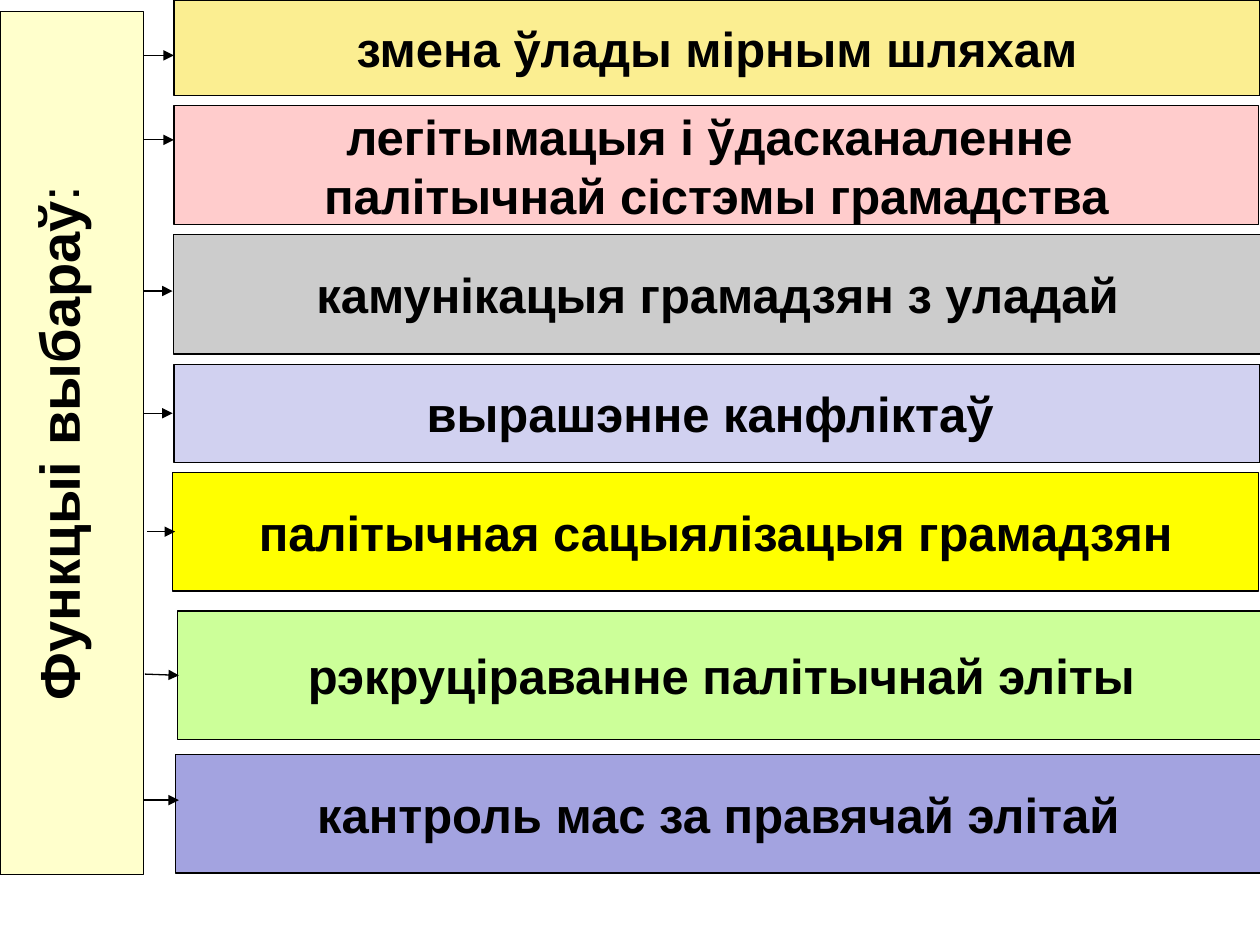
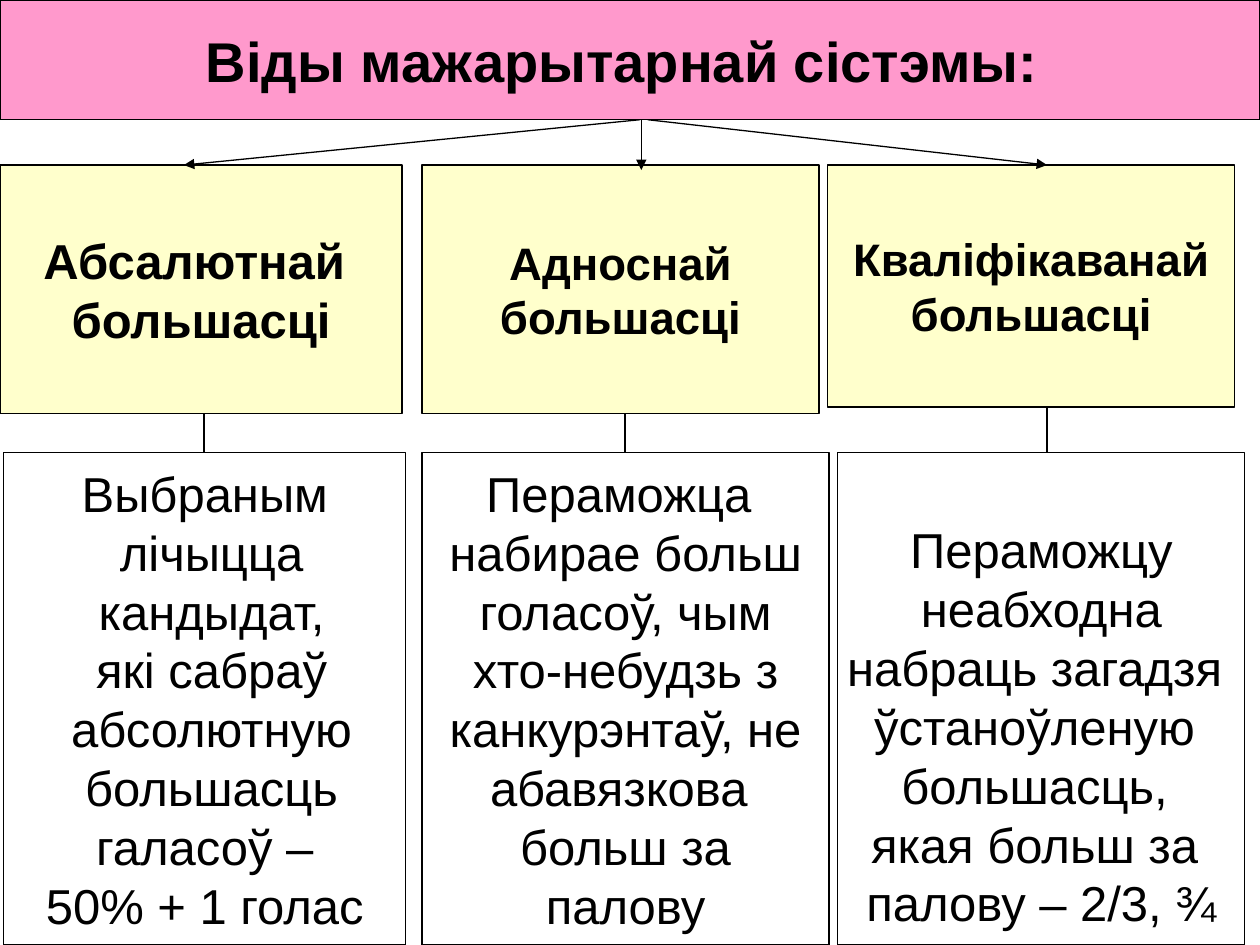
import pptx
import pptx.dml.color
import pptx.enum.shapes
import pptx.enum.text
import pptx.oxml
import pptx.util
from pptx.util import Inches

FONT = "Arial"
BLACK = "000000"
CREAM = "FFFFCC"
LINE_WIDTH = pptx.util.Pt(0.75)
color = pptx.dml.color.RGBColor.from_string


def add_box(slide, text, left, top, width, height, fill=None, size=28, bold=True,
            margin_top=0.05, light_ending=""):
    """Draw a bordered box with one centred paragraph for each line of text."""
    shape = slide.shapes.add_shape(pptx.enum.shapes.MSO_SHAPE.RECTANGLE,
                                   Inches(left), Inches(top), Inches(width), Inches(height))
    shape.shadow.inherit = False
    shape.line.color.rgb = color(BLACK)
    shape.line.width = LINE_WIDTH
    if fill:
        shape.fill.solid()
        shape.fill.fore_color.rgb = color(fill)
    else:
        shape.fill.background()

    frame = shape.text_frame
    frame.word_wrap = False
    frame.vertical_anchor = pptx.enum.text.MSO_ANCHOR.MIDDLE
    frame.margin_top = Inches(margin_top)
    for index, line in enumerate(text.split("\n")):
        paragraph = frame.add_paragraph() if index else frame.paragraphs[0]
        paragraph.alignment = pptx.enum.text.PP_ALIGN.CENTER
        for words, weight in ((line, bold), (light_ending, False)):
            if words:
                run = paragraph.add_run()
                run.text = words
                run.font.name = FONT
                run.font.size = pptx.util.Pt(size)
                run.font.bold = weight
                run.font.color.rgb = color(BLACK)
    return shape


def add_line(slide, start_x, start_y, end_x, end_y, arrow=True):
    """Draw a thin black line, with an arrowhead at its end if wanted."""
    connector = slide.shapes.add_connector(
        pptx.enum.shapes.MSO_CONNECTOR.STRAIGHT,
        Inches(start_x), Inches(start_y), Inches(end_x), Inches(end_y))
    connector.line.color.rgb = color(BLACK)
    connector.line.width = LINE_WIDTH
    if arrow:
        head = pptx.oxml.parse_xml(
            '<a:tailEnd xmlns:a="http://schemas.openxmlformats.org/drawingml/2006/main"'
            ' type="triangle"/>')
        connector.line._get_or_add_ln().append(head)
    effects = pptx.oxml.parse_xml(
        '<a:effectLst xmlns:a="http://schemas.openxmlformats.org/drawingml/2006/main"/>')
    connector._element.spPr.append(effects)


presentation = pptx.Presentation()
presentation.slide_width = Inches(10)
presentation.slide_height = Inches(7.5)
blank_layout = presentation.slide_layouts[6]

# Slide 1: functions of elections
slide = presentation.slides.add_slide(blank_layout)

# Vertical title, read from bottom to top
title = add_box(slide, "Функцыі выбараў", 0, 0.09, 1.14, 6.85, fill=CREAM, size=32,
                light_ending=":")
title.text_frame._txBody.bodyPr.set("vert", "vert270")
title.text_frame.paragraphs[0].line_spacing = pptx.util.Pt(22)

# Function rows: text, fill, left, top, width, height
functions = [
    ("змена ўлады мірным шляхам", "FBEE91", 1.38, 0, 8.62, 0.76),
    ("легітымацыя і ўдасканаленне \nпалітычнай сістэмы грамадства",
     "FFCCCC", 1.38, 0.84, 8.61, 0.94),
    ("камунікацыя грамадзян з уладай", "CCCCCC", 1.38, 1.86, 8.63, 0.95),
    ("вырашэнне канфліктаў ", "D1D1F0", 1.38, 2.89, 8.62, 0.78),
    ("палітычная сацыялізацыя грамадзян", "FFFF00", 1.37, 3.75, 8.62, 0.94),
    ("рэкруціраванне палітычнай эліты", "CCFF99", 1.41, 4.85, 8.63, 1.02),
    ("кантроль мас за правячай элітай", "A3A3E0", 1.39, 5.99, 8.62, 0.94),
]
for text, fill, left, top, width, height in functions:
    add_box(slide, text, left, top, width, height, fill=fill)

# Arrows from the title to the rows
function_arrows = [
    (1.14, 0.44, 1.38, 0.44),
    (1.14, 1.11, 1.38, 1.11),
    (1.14, 2.31, 1.37, 2.31),
    (1.14, 3.28, 1.37, 3.28),
    (1.17, 4.22, 1.39, 4.22),
    (1.15, 5.35, 1.42, 5.36),
    (1.14, 6.35, 1.42, 6.35),
]
for ends in function_arrows:
    add_line(slide, *ends)

# Slide 2: kinds of majority system
slide = presentation.slides.add_slide(blank_layout)
title_bottom, kind_top, rule_top, rule_height = 0.95, 1.31, 3.59, 3.91
add_box(slide, "Віды мажарытарнай сістэмы: ", 0, 0, 10, title_bottom, fill="FF99CC", size=32)

# Kind boxes: text, size, left, width, height
kinds = [
    ("Абсалютнай \nбольшасці", 28, 0, 3.19, 1.97),
    ("Адноснай\nбольшасці", 26, 3.35, 3.15, 1.97),
    ("Кваліфікаванай\nбольшасці", 26, 6.57, 3.23, 1.92),
]
# Rule boxes: text, left, width, top margin
rules = [
    ("Выбраным\n лічыцца\n кандыдат,\n які сабраў\n абсолютную\n большасць\n галасоў – \n"
     "50% + 1 голас", 0.03, 3.19, 0.05),
    ("Пераможца \nнабирае больш\nголасоў, чым\nхто-небудзь з\nканкурэнтаў, не\n"
     "абавязкова \nбольш за\nпалову", 3.35, 3.23, 0.05),
    ("Пераможцу\nнеабходна\nнабраць загадзя \nўстаноўленую \nбольшасць, \n"
     "якая больш за \nпалову – 2/3, ¾", 6.65, 3.23, 0.48),
]
# Lines: arrow start x, arrow end x and y, x of the link to the rule
links = [
    (5.08, 1.46, 1.31, 1.62),
    (5.09, 5.09, 1.35, 4.96),
    (5.14, 8.31, 1.31, 8.31),
]
for kind, rule, link in zip(kinds, rules, links):
    text, size, left, width, height = kind
    add_box(slide, text, left, kind_top, width, height, fill=CREAM, size=size)

    text, left, width, margin_top = rule
    add_box(slide, text, left, rule_top, width, rule_height, bold=False, margin_top=margin_top)

    start_x, end_x, end_y, link_x = link
    add_line(slide, start_x, title_bottom, end_x, end_y)
    add_line(slide, link_x, kind_top + height, link_x, rule_top, arrow=False)

presentation.save("out.pptx")
